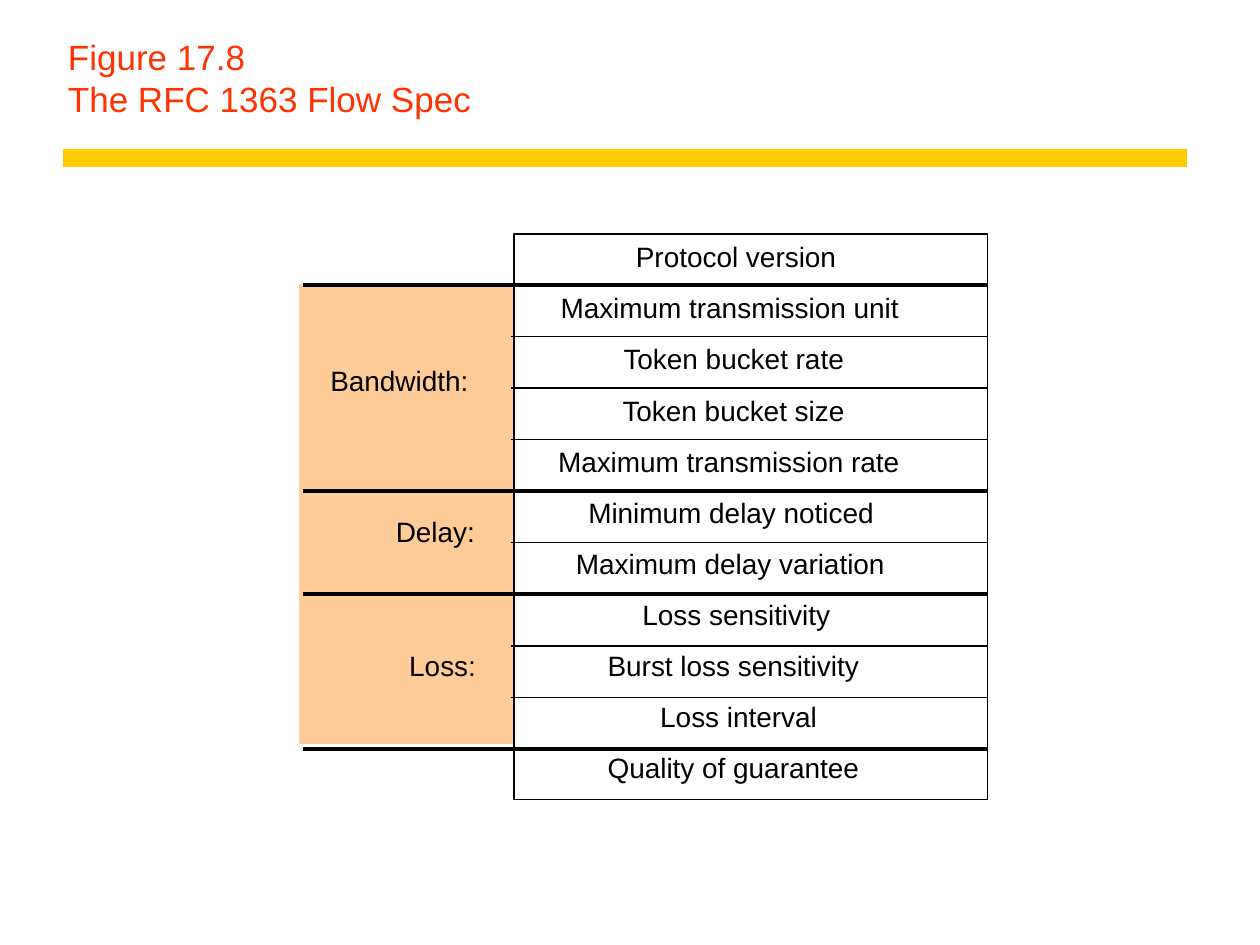
from lxml import etree
from pptx import Presentation
from pptx.dml.color import RGBColor
from pptx.enum.shapes import MSO_CONNECTOR, MSO_SHAPE
from pptx.enum.text import MSO_ANCHOR, MSO_AUTO_SIZE
from pptx.oxml.ns import qn
from pptx.util import Cm, Pt

STRAIGHT = MSO_CONNECTOR.STRAIGHT
RECT = MSO_SHAPE.RECTANGLE
TOP, BOTTOM = MSO_ANCHOR.TOP, MSO_ANCHOR.BOTTOM
FIXED, GROW = MSO_AUTO_SIZE.NONE, MSO_AUTO_SIZE.SHAPE_TO_FIT_TEXT

BLACK = RGBColor(0x00, 0x00, 0x00)
RED = RGBColor(0xFF, 0x33, 0x00)
GOLD = RGBColor(0xFF, 0xCC, 0x00)
PEACH = RGBColor(0xFF, 0xCC, 0x99)

# Flow spec fields: text, left, width (cm)
FIELDS = [
    ("Protocol version", 12.57, 4.6),
    ("Maximum transmission unit", 11.05, 7.4),
    ("Token bucket rate", 12.32, 5.05),
    ("Token bucket size", 12.3, 5.1),
    ("Maximum transmission rate", 11, 7.45),
    ("Minimum delay noticed", 11.61, 6.35),
    ("Maximum delay variation", 11.36, 6.8),
    ("Loss sensitivity", 12.7, 4.35),
    ("Burst loss sensitivity", 12, 5.65),
    ("Loss interval", 13.06, 3.75),
    ("Quality of guarantee", 12, 5.65),
]
# Field groups: text, left, top, width (cm)
GROUPS = [
    ("Bandwidth:", 6.41, 7.21, 3.4),
    ("Delay:", 7.73, 10.24, 2.2),
    ("Loss:", 8, 12.94, 1.95),
]
GROUP_EDGES = {0, 4, 6, 9}  # rules that bound a group
TEXT_TOP, TEXT_STEP, TEXT_HIGH = 4.71, 1.03, 0.94
RULE_TOP, RULE_STEP = 5.74, 1.04
RULE_LEFT, EDGE_LEFT, RULE_RIGHT = 10.31, 6.1, 19.91


def add_text(slide, text, left, top, width, height=TEXT_HIGH,
             size=16, color=BLACK, anchor=TOP, wrap=False):
    box = slide.shapes.add_textbox(Cm(left), Cm(top), Cm(width), Cm(height))
    frame = box.text_frame
    frame.word_wrap = wrap
    frame.auto_size = FIXED if wrap else GROW
    frame.vertical_anchor = anchor
    frame.text = text
    font = frame.paragraphs[0].font
    font.name = "Arial"
    font.size = Pt(size)
    font.color.rgb = color


def add_rect(slide, left, top, width, height, line, fill=None):
    rect = slide.shapes.add_shape(RECT, Cm(left), Cm(top), Cm(width), Cm(height))
    rect.shadow.inherit = False
    if fill is None:
        rect.fill.background()
    else:
        rect.fill.solid()
        rect.fill.fore_color.rgb = fill
    rect.line.color.rgb = line
    rect.line.width = Pt(0.75)


def add_rule(slide, left, right, y, weight, color=BLACK):
    rule = slide.shapes.add_connector(STRAIGHT, Cm(left), Cm(y), Cm(right), Cm(y))
    rule.line.color.rgb = color
    rule.line.width = Pt(weight)
    etree.SubElement(rule._element.spPr, qn("a:effectLst"))


def main():
    deck = Presentation()
    deck.slide_width, deck.slide_height = Cm(25.4), Cm(19.05)
    slide = deck.slides.add_slide(deck.slide_layouts[6])

    # Heading
    add_rule(slide, 1.27, 23.93, 3.18, 10, GOLD)
    add_text(slide, "Figure 17.8\vThe RFC 1363 Flow Spec", 1.12, 0.64, 22.78,
             1.9, size=20, color=RED, anchor=BOTTOM, wrap=True)

    # Group panel and field frame
    add_rect(slide, 6.05, 5.74, 4.29, 9.25, PEACH, PEACH)
    add_rect(slide, 10.36, 4.72, 9.55, 11.4, BLACK)

    # Fields, with a rule between each pair
    for row, (text, left, width) in enumerate(FIELDS):
        add_text(slide, text, left, TEXT_TOP + row * TEXT_STEP, width)
    for row in range(len(FIELDS) - 1):
        edge = row in GROUP_EDGES
        add_rule(slide, EDGE_LEFT if edge else RULE_LEFT, RULE_RIGHT,
                 RULE_TOP + row * RULE_STEP, 2.25 if edge else 0.75)

    # Group names
    for group in GROUPS:
        add_text(slide, *group)

    deck.save("out.pptx")


if __name__ == "__main__":
    main()
